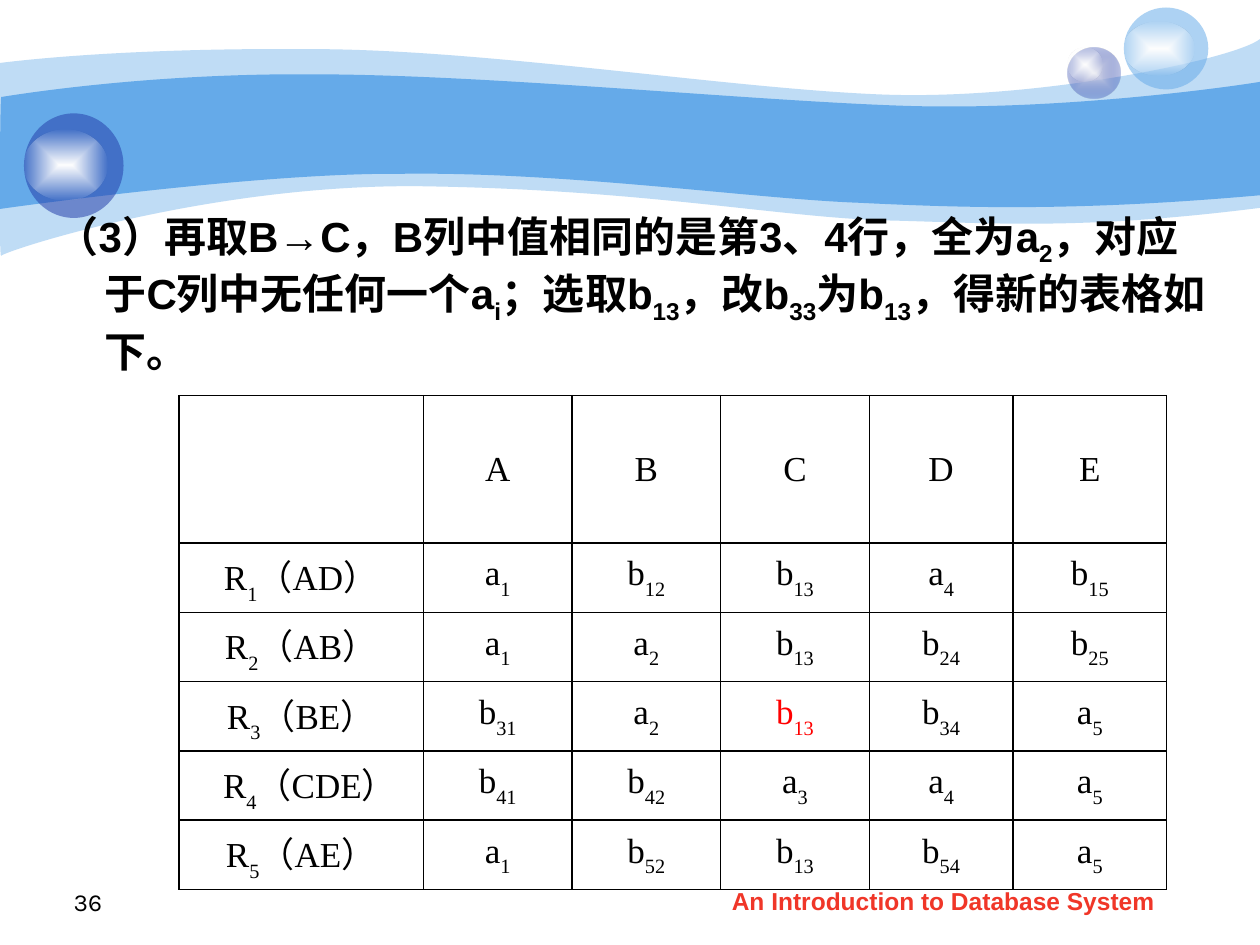
from lxml.etree import SubElement
from pptx import Presentation
from pptx.dml.color import RGBColor
from pptx.enum.shapes import MSO_SHAPE
from pptx.enum.text import MSO_ANCHOR, MSO_AUTO_SIZE, PP_ALIGN
from pptx.oxml import parse_xml
from pptx.oxml.ns import nsdecls, qn
from pptx.util import Inches, Pt

COLORS = {"sky": "65AAE9", "navy": "233DA9", "mist": "E1E2ED", "white": "FFFFFF",
          "black": "000000", "red": "FF0000", "footer": "F03628"}


def fill_shape(s, stops):
    s.shadow.inherit = False
    s.line.fill.background()
    colors = [f'<a:srgbClr val="{COLORS[c]}"><a:alpha val="{a * 1000}"/></a:srgbClr>'
              for c, a in stops]
    if len(colors) == 1:
        xml = f'<a:solidFill {nsdecls("a")}>{colors[0]}</a:solidFill>'
    else:
        xml = (f'<a:gradFill {nsdecls("a")}><a:gsLst><a:gs pos="0">{colors[0]}</a:gs>'
               f'<a:gs pos="100000">{colors[1]}</a:gs></a:gsLst><a:path path="shape">'
               '<a:fillToRect l="50000" t="50000" r="50000" b="50000"/></a:path></a:gradFill>')
    s.fill.background()
    old = s.element.spPr.find(qn("a:noFill"))
    s.element.spPr.replace(old, parse_xml(xml))


def write(p, text, font, size, color="black", bold=False, base=-30):
    for i, part in enumerate(text.split("|")):
        if not part:
            continue
        r = p.add_run()
        r.text = part
        r.font.name, r.font.size, r.font.bold = font, Pt(size), bold
        r.font.color.rgb = RGBColor.from_string(COLORS[color])
        if i % 2:
            r.font._element.set("baseline", str(base * 1000))


prs = Presentation()
prs.slide_width, prs.slide_height = Inches(10), Inches(7.5)
slide = prs.slides.add_slide(prs.slide_layouts[1])
title = slide.shapes.title
title.element.getparent().remove(title.element)

waves = [
    (41, (0, 0.5),
     [(0.24, 0.47, 1.07, 0.38, 2.47, 0.39), (3.86, 0.39, 5.75, 0.7, 6.99, 0.75),
      (8.22, 0.8, 9.8, 0.47, 10, 0.31), (10, 1.65),
      (8.58, 1.83, 7.87, 1.77, 7.05, 1.75), (6.22, 1.73, 5.15, 1.51, 3.43, 1.48),
      (1.72, 1.44, 0.04, 1.99, 0.01, 2.03), (-0.01, 2.08, 0, 0.75, 0, 0.5)]),
    (100, (0.01, 0.77),
     [(0.02, 0.77, 1.1, 0.58, 2.48, 0.59), (3.86, 0.59, 5.95, 0.8, 7.18, 0.84),
      (8.41, 0.88, 9.76, 0.69, 10, 0.65), (10, 1.55),
      (8.53, 1.68, 7.65, 1.65, 6.82, 1.61), (5.99, 1.58, 4.47, 1.36, 3.17, 1.38),
      (2.03, 1.37, -0.02, 1.66, -0.01, 1.66), (0, 1.66, 0, 0.77, 0.01, 0.77)]),
]
for alpha, start, segments in waves:
    builder = slide.shapes.build_freeform(Inches(start[0]), Inches(start[1]))
    ends = [(Inches(seg[-2]), Inches(seg[-1])) for seg in segments]
    builder.add_line_segments(ends, close=True)
    s = builder.convert_to_shape()
    for line, seg in zip(list(s.element.iter(qn("a:lnTo"))), segments):
        if len(seg) == 6:
            curve = SubElement(line.getparent(), qn("a:cubicBezTo"))
            for x, y in zip(seg[::2], seg[1::2]):
                SubElement(curve, qn("a:pt"), x=str(Inches(x) - s.left), y=str(Inches(y) - s.top))
            line.getparent().replace(line, curve)
    fill_shape(s, [("sky", alpha)])

glow = [("white", 100), ("white", 0)]
bubbles = [
    ((8.47, 0.38, 0.42, 0.4), [("mist", 100), ("navy", 31)], (8.47, 0.38, 0.28, 0.27)),
    ((8.92, 0.06, 0.67, 0.65), [("sky", 53)], (8.92, 0.17, 0.56, 0.43)),
    ((0.19, 0.9, 0.79, 0.83), [("navy", 53)], (0.19, 1.03, 0.66, 0.56)),
]
for ball, stops, shine in bubbles:
    group = slide.shapes.add_group_shape()
    for box, fill in ((ball, stops), (shine, glow)):
        s = group.shapes.add_shape(MSO_SHAPE.OVAL, *[Inches(v) for v in box])
        fill_shape(s, fill)

body = slide.placeholders[1]
body.left, body.top, body.width, body.height = Inches(0.35), Inches(1.62), Inches(9.33), Inches(1.08)
slide.shapes._spTree.append(body.element)
tf = body.text_frame
tf.word_wrap = True
tf.auto_size = MSO_AUTO_SIZE.NONE
p = tf.paragraphs[0]
p.space_before = Pt(4.8)
pPr = p._p.get_or_add_pPr()
pPr.set("marL", str(Inches(0.38)))
pPr.set("indent", str(Inches(-0.38)))
SubElement(pPr, qn("a:buNone"))
write(p, "（3）再取B→C，B列中值相同的是第3、4行，全为a|2|，对应于C列中无任何一个a|i|；"
      "选取b|13|，改b|33|为b|13|，得新的表格如下。", "Arial", 24, bold=True, base=-25)

rows = [
    ["", "A", "B", "C", "D", "E"],
    ["R|1|（AD）", "a|1", "b|12", "b|13", "a|4", "b|15"],
    ["R|2|（AB）", "a|1", "a|2", "b|13", "b|24", "b|25"],
    ["R|3|（BE）", "b|31", "a|2", "b|13", "b|34", "a|5"],
    ["R|4|（CDE）", "b|41", "b|42", "a|3", "a|4", "a|5"],
    ["R|5|（AE）", "a|1", "b|52", "b|13", "b|54", "a|5"],
]
changed, shifted = (3, 3), (4, 0)
table = slide.shapes.add_table(6, 6, Inches(1.42), Inches(3.14), Inches(7.83), Inches(3.92)).table
table.first_row = table.horz_banding = False
for col, width in zip(table.columns, [1.94, 1.18, 1.18, 1.18, 1.14, 1.22]):
    col.width = Inches(width)
for i, values in enumerate(rows):
    table.rows[i].height = Inches(0.55 if i else 1.17)
    for j, value in enumerate(values):
        cell = table.cell(i, j)
        cell.vertical_anchor = MSO_ANCHOR.MIDDLE
        tcPr = cell._tc.get_or_add_tcPr()
        for side in ("lnL", "lnR", "lnT", "lnB"):
            tcPr.append(parse_xml(
                f'<a:{side} {nsdecls("a")} w="{Pt(1)}"><a:solidFill>'
                f'<a:srgbClr val="{COLORS["black"]}"/></a:solidFill></a:{side}>'))
        cell.fill.background()
        p = cell.text_frame.paragraphs[0]
        p.alignment = PP_ALIGN.CENTER
        pPr = p._p.get_or_add_pPr()
        pPr.set("marL", str(Inches(0.52 if (i, j) == shifted else 0.38)))
        pPr.set("indent", str(Inches(-0.38)))
        write(p, value, "Times New Roman", 20, "red" if (i, j) == changed else "black")

labels = [
    (5.71, 6.98, 3.94, 0.35, "An Introduction to Database System", "Arial", "footer", True,
     PP_ALIGN.LEFT, MSO_ANCHOR.TOP),
    (0.27, 6.82, 0.64, 0.5, "36", "Karla", "black", False, PP_ALIGN.RIGHT, MSO_ANCHOR.BOTTOM),
]
for x, y, w, h, text, font, color, bold, align, anchor in labels:
    tf = slide.shapes.add_textbox(Inches(x), Inches(y), Inches(w), Inches(h)).text_frame
    tf.word_wrap = True
    tf.vertical_anchor = anchor
    p = tf.paragraphs[0]
    p.alignment = align
    write(p, text, font, 14, color, bold)

prs.save("out.pptx")
